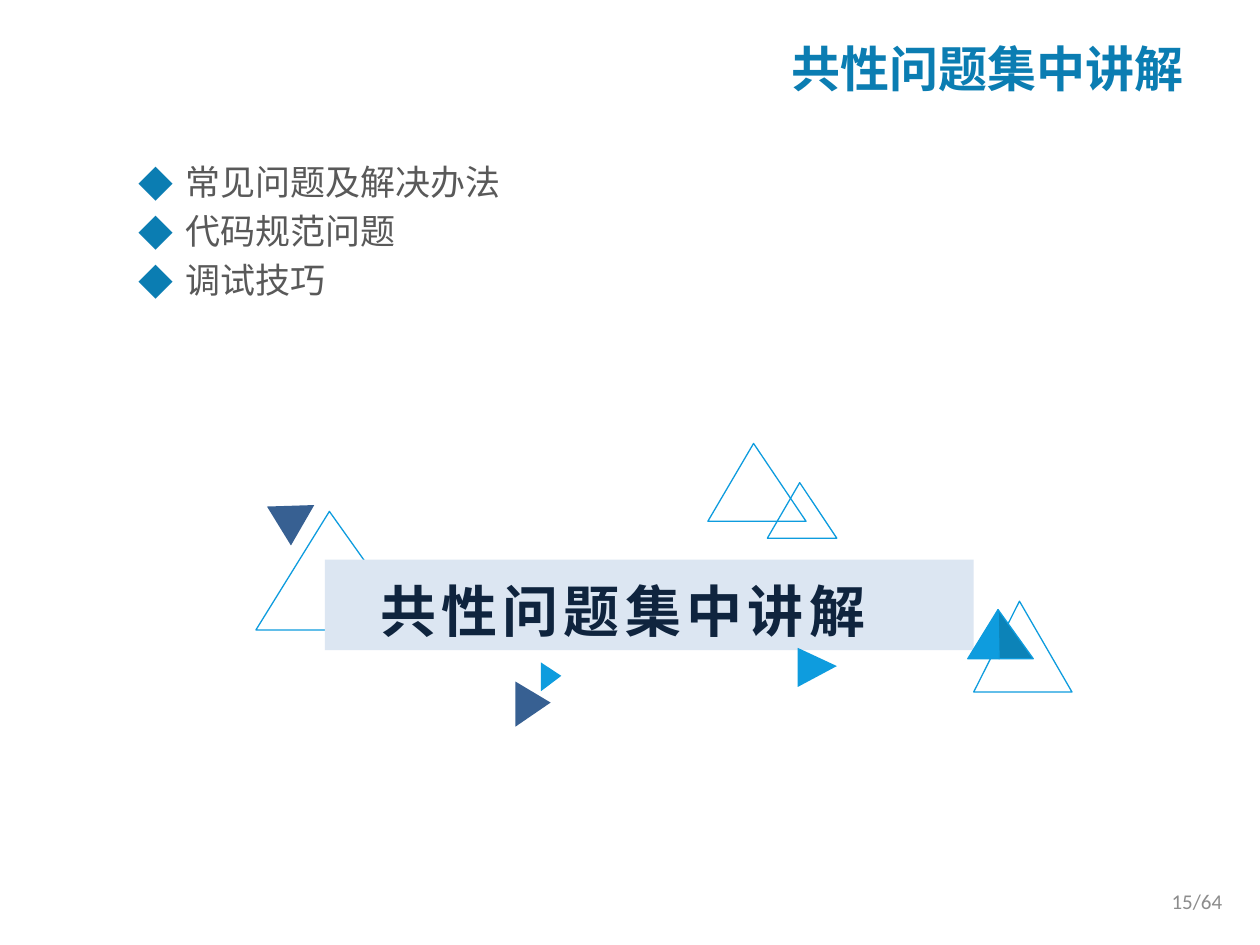
from dataclasses import dataclass
from typing import Optional

from lxml import etree
from pptx import Presentation
from pptx.dml.color import RGBColor
from pptx.enum import shapes, text
from pptx.oxml.ns import qn
from pptx.util import Cm, Pt

CJK = "Noto Sans CJK SC"
SKY, NAVY, TEAL = "0E9CDE", "376092", "0B7DB2"
HEADING = "共性问题集中讲解"
TOPICS = ["常见问题及解决办法", "代码规范问题", "调试技巧"]


@dataclass
class Triangle:
    """Sizes in centimetres; without a fill it is drawn as an outline."""
    left: float
    top: float
    width: float
    height: float
    fill: Optional[str] = None
    rotation: float = 0


BEHIND_BANNER = [
    Triangle(5.16, 10.31, 3.18, 2.39),
    Triangle(19.63, 12.12, 1.98, 1.83),
    Triangle(10.82, 13.44, 0.58, 0.41, SKY, 90),
    Triangle(5.28, 9.98, 0.94, 0.81, NAVY, 300),
]
OVER_BANNER = [
    Triangle(15.47, 9.73, 1.4, 1.12),
    Triangle(14.27, 8.94, 1.98, 1.57),
    Triangle(10.29, 13.84, 0.91, 0.71, NAVY, 90),
    Triangle(16.08, 13.06, 0.79, 0.79, SKY, 90),
]


def rgb(value: str) -> RGBColor:
    return RGBColor.from_string(value)


def add_run(p, words: str, size: float, color: str, font: str = CJK, bold: bool = False):
    r = p.add_run()
    r.text = words
    r.font.size, r.font.bold, r.font.name = Pt(size), bold, font
    r.font.color.rgb = rgb(color)
    etree.SubElement(r._r.get_or_add_rPr(), qn("a:ea"), typeface=font)
    return r


def add_text_frame(s, left: float, top: float, width: float, height: float,
                   anchor=text.MSO_ANCHOR.MIDDLE):
    tf = s.shapes.add_textbox(Cm(left), Cm(top), Cm(width), Cm(height)).text_frame
    tf.word_wrap = True
    tf.vertical_anchor = anchor
    return tf


def add_bullet(p, char: str, color: str) -> None:
    """Give the paragraph a hanging bullet."""
    pPr = p._p.get_or_add_pPr()
    pPr.set("marL", str(Cm(0.95)))
    pPr.set("indent", str(-Cm(0.95)))
    clr = etree.SubElement(pPr, qn("a:buClr"))
    etree.SubElement(clr, qn("a:srgbClr"), val=color)
    etree.SubElement(pPr, qn("a:buFont"), typeface=CJK)
    etree.SubElement(pPr, qn("a:buChar"), char=char)


def paint(sp, fill: Optional[str], line: Optional[str]) -> None:
    sp.shadow.inherit = False
    if fill:
        sp.fill.solid()
        sp.fill.fore_color.rgb = rgb(fill)
    else:
        sp.fill.background()
    if line:
        sp.line.color.rgb = rgb(line)
        sp.line.width = Pt(0.75)
    else:
        sp.line.fill.background()


def add_triangle(group, t: Triangle) -> None:
    sp = group.shapes.add_shape(shapes.MSO_SHAPE.ISOSCELES_TRIANGLE,
                                Cm(t.left), Cm(t.top), Cm(t.width), Cm(t.height))
    sp.adjustments[0] = 0.466
    sp.rotation = t.rotation
    paint(sp, t.fill, None if t.fill else SKY)


def add_banner(group) -> None:
    sp = group.shapes.add_shape(shapes.MSO_SHAPE.RECTANGLE,
                                Cm(6.55), Cm(11.28), Cm(13.08), Cm(1.83))
    paint(sp, "DCE6F2", None)
    tf = sp.text_frame
    tf.margin_top, tf.margin_bottom = Cm(0.33), Cm(0.13)
    tf.margin_left, tf.margin_right = Cm(0.25), Cm(1.32)
    p = tf.paragraphs[0]
    p.alignment = text.PP_ALIGN.CENTER
    r = add_run(p, HEADING, 32, "0F243E", bold=True)
    r.font._element.set("spc", "300")


def add_half_peak(group, outer_x: float, fill: str) -> None:
    """Draw one side of the two-tone triangle, from its outer foot to its axis."""
    apex_x, axis_x, top, base = 20.12, 20.14, 12.29, 13.28
    fb = group.shapes.build_freeform(Cm(outer_x), Cm(base))
    fb.add_line_segments([(Cm(apex_x), Cm(top)), (Cm(axis_x), Cm(base))], close=True)
    paint(fb.convert_to_shape(), fill, SKY)


def main() -> None:
    prs = Presentation()
    prs.slide_width, prs.slide_height = Cm(25.4), Cm(19.05)
    s = prs.slides.add_slide(prs.slide_layouts[6])

    p = add_text_frame(s, 2.54, 0.79, 21.56, 1.14).paragraphs[0]
    p.alignment = text.PP_ALIGN.RIGHT
    add_run(p, HEADING, 28, TEAL, bold=True)

    tf = add_text_frame(s, 2.54, 3.12, 21.56, 11.99, text.MSO_ANCHOR.TOP)
    for i, topic in enumerate(TOPICS):
        p = tf.add_paragraph() if i else tf.paragraphs[0]
        p.space_before = Pt(4)
        add_bullet(p, "◆", TEAL)
        add_run(p, topic, 20, "595959")

    group = s.shapes.add_group_shape()
    for t in BEHIND_BANNER:
        add_triangle(group, t)
    add_banner(group)
    for t in OVER_BANNER:
        add_triangle(group, t)
    add_half_peak(group, 19.51, SKY)
    add_half_peak(group, 20.83, "0C83B8")

    p = add_text_frame(s, 18.97, 17.65, 5.92, 1.02).paragraphs[0]
    p.alignment = text.PP_ALIGN.RIGHT
    add_run(p, "15/64", 12, "8C8C8C", font="Calibri")

    prs.save("out.pptx")


if __name__ == "__main__":
    main()
